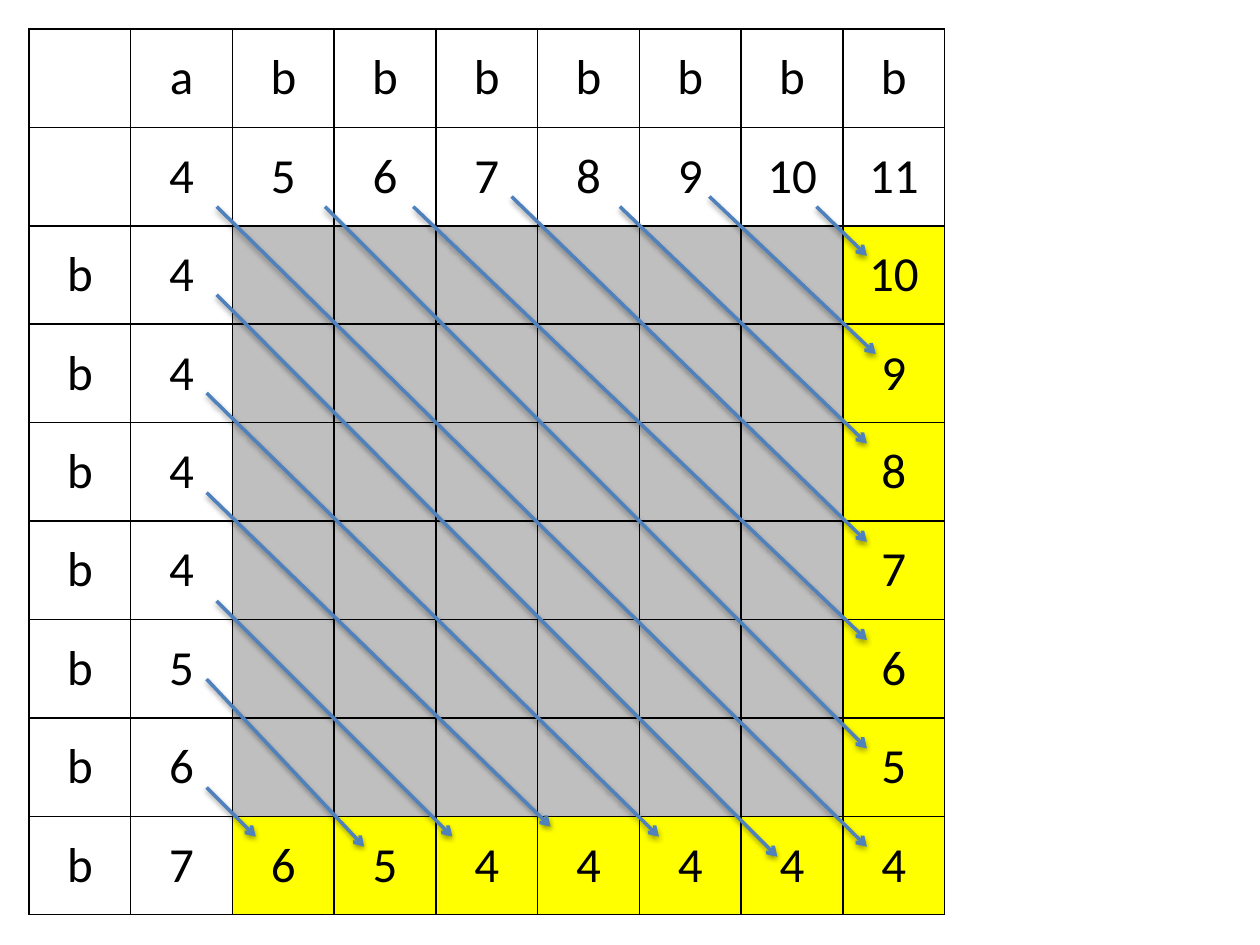
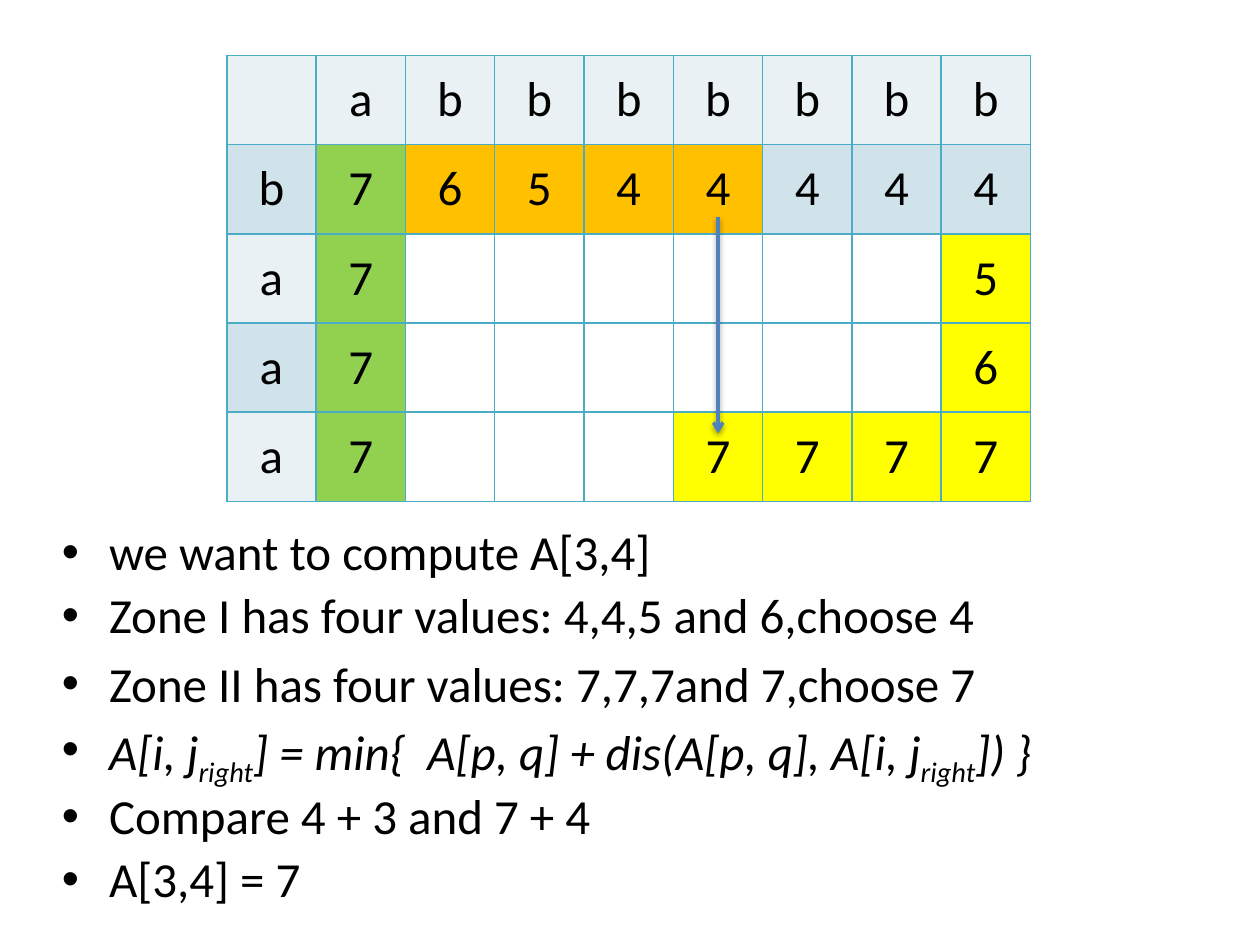
from lxml import etree
from pptx import Presentation
from pptx.dml.color import RGBColor
from pptx.enum import shapes, text
from pptx.oxml import parse_xml
from pptx.oxml.ns import nsdecls, qn
from pptx.util import Inches, Pt

FONT, SIZE, BLACK, ARROW = "Calibri", 28, "000000", "4F81BD"
FILLS = {
    "w": "FFFFFF", "g": "BFBFBF", "y": "FFFF00", "l": "E9F1F5",
    "d": "D0E3EA", "n": "92D050", "o": "FFC000", ".": None,
}

DIAGONAL_TABLE = {
    "left": 0.23, "top": 0.23, "width": 7.27, "height": 7.03, "border": BLACK,
    "rows": [
        ("- a b b b b b b b", "wwwwwwwww"),
        ("- 4 5 6 7 8 9 10 11", "wwwwwwwww"),
        ("b 4 - - - - - - 10", "wwggggggy"),
        ("b 4 - - - - - - 9", "wwggggggy"),
        ("b 4 - - - - - - 8", "wwggggggy"),
        ("b 4 - - - - - - 7", "wwggggggy"),
        ("b 5 - - - - - - 6", "wwggggggy"),
        ("b 6 - - - - - - 5", "wwggggggy"),
        ("b 7 6 5 4 4 4 4 4", "wwyyyyyyy"),
    ],
}
DIAGONAL_ARROWS = [
    (6.48, 1.64, 6.88, 2.03), (5.63, 1.56, 6.95, 2.81), (4.92, 1.64, 6.88, 3.52),
    (4.06, 1.56, 6.88, 4.3), (3.28, 1.64, 6.88, 5.08), (2.58, 1.64, 6.88, 5.94),
    (1.72, 1.64, 6.88, 6.72), (1.72, 2.34, 6.17, 6.8), (1.64, 3.12, 5.23, 6.64),
    (1.64, 3.91, 4.37, 6.56), (1.72, 4.77, 3.59, 6.64), (1.64, 5.39, 2.89, 6.72),
    (1.64, 6.25, 2.03, 6.64),
]

ZONE_TABLE = {
    "left": 1.8, "top": 0.44, "width": 6.38, "height": 3.54, "border": "4BACC6",
    "rows": [
        ("- a b b b b b b b", "lllllllll"),
        ("b 7 6 5 4 4 4 4 4", "dnooooddd"),
        ("a 7 - - - - - - 5", "ln......y"),
        ("a 7 - - - - - - 6", "dn......y"),
        ("a 7 - - - 7 7 7 7", "ln...yyyy"),
    ],
}
ZONE_ARROWS = [(5.7, 1.72, 5.7, 3.44)]
FORMULA = ["A[i, j", "right", "] = min{  A[p, q] + dis(A[p, q], A[i, j", "right", "]) }"]
ZONE_STEPS = [
    (["we want to compute A[3,4]"], 0.9),
    (["Zone I has four values: 4,4,5 and 6,choose 4"], 0.9),
    (["Zone II has four values: 7,7,7and 7,choose 7"], 1.0),
    (FORMULA, 0.9),
    (["Compare 4 + 3 and 7 + 4"], 0.9),
    (["A[3,4] = 7"], 0.9),
]


def color(hex_string):
    return RGBColor.from_string(hex_string)


def style_font(font):
    font.name, font.size = FONT, Pt(SIZE)
    font.color.rgb = color(BLACK)


def style_cell(cell, value, fill, border):
    properties = cell._tc.get_or_add_tcPr()
    for side in ("lnL", "lnR", "lnT", "lnB"):
        properties.append(parse_xml(
            f'<a:{side} {nsdecls("a")} w="12700"><a:solidFill>'
            f'<a:srgbClr val="{border}"/></a:solidFill></a:{side}>'))
    if fill:
        cell.fill.solid()
        cell.fill.fore_color.rgb = color(fill)
    else:
        cell.fill.background()
    cell.vertical_anchor = text.MSO_ANCHOR.MIDDLE
    if value != "-":
        cell.text = value
        paragraph = cell.text_frame.paragraphs[0]
        paragraph.alignment = text.PP_ALIGN.CENTER
        style_font(paragraph.font)


def add_matrix(slide, matrix):
    rows = [(values.split(), fills) for values, fills in matrix["rows"]]
    place = [Inches(matrix[key]) for key in ("left", "top", "width", "height")]
    table = slide.shapes.add_table(len(rows), len(rows[0][0]), *place).table
    table.first_row = table.horz_banding = False
    for row, (values, fills) in enumerate(rows):
        for column, (value, fill) in enumerate(zip(values, fills)):
            style_cell(table.cell(row, column), value, FILLS[fill], matrix["border"])


def add_arrow(slide, points):
    arrow = slide.shapes.add_connector(
        shapes.MSO_CONNECTOR.STRAIGHT, *[Inches(point) for point in points])
    arrow.line.color.rgb = color(ARROW)
    arrow.line.width = Pt(2)
    etree.SubElement(arrow.line._get_or_add_ln(), qn("a:tailEnd"), type="arrow")
    arrow._element.spPr.append(parse_xml(
        f'<a:effectLst {nsdecls("a")}><a:outerShdw blurRad="40000" dist="20000" '
        f'dir="5400000" rotWithShape="0"><a:srgbClr val="{BLACK}">'
        '<a:alpha val="38000"/></a:srgbClr></a:outerShdw></a:effectLst>'))


def add_steps(slide, steps):
    body = slide.placeholders[1]
    body.left, body.top = Inches(0.39), Inches(4.14)
    body.width, body.height = Inches(9.3), Inches(3.13)
    frame = body.text_frame
    frame.auto_size = text.MSO_AUTO_SIZE.NONE
    for index, (parts, spacing) in enumerate(steps):
        paragraph = frame.add_paragraph() if index else frame.paragraphs[0]
        paragraph.line_spacing = spacing
        if index == 0:
            paragraph.space_before = Pt(0)
        style_font(paragraph.font)
        paragraph.font.italic = parts is FORMULA
        for position, part in enumerate(parts):
            run = paragraph.add_run()
            run.text = part
            if position % 2:
                run._r.get_or_add_rPr().set("baseline", "-25000")


def add_matrix_slide(presentation, layout, matrix, arrows):
    slide = presentation.slides.add_slide(presentation.slide_layouts[layout])
    add_matrix(slide, matrix)
    for points in arrows:
        add_arrow(slide, points)
    return slide


def main():
    presentation = Presentation()
    presentation.slide_width, presentation.slide_height = Inches(10), Inches(7.5)
    add_matrix_slide(presentation, 6, DIAGONAL_TABLE, DIAGONAL_ARROWS)
    zone_slide = add_matrix_slide(presentation, 1, ZONE_TABLE, ZONE_ARROWS)
    title = zone_slide.shapes.title._element
    title.getparent().remove(title)
    add_steps(zone_slide, ZONE_STEPS)
    presentation.save("out.pptx")


if __name__ == "__main__":
    main()
